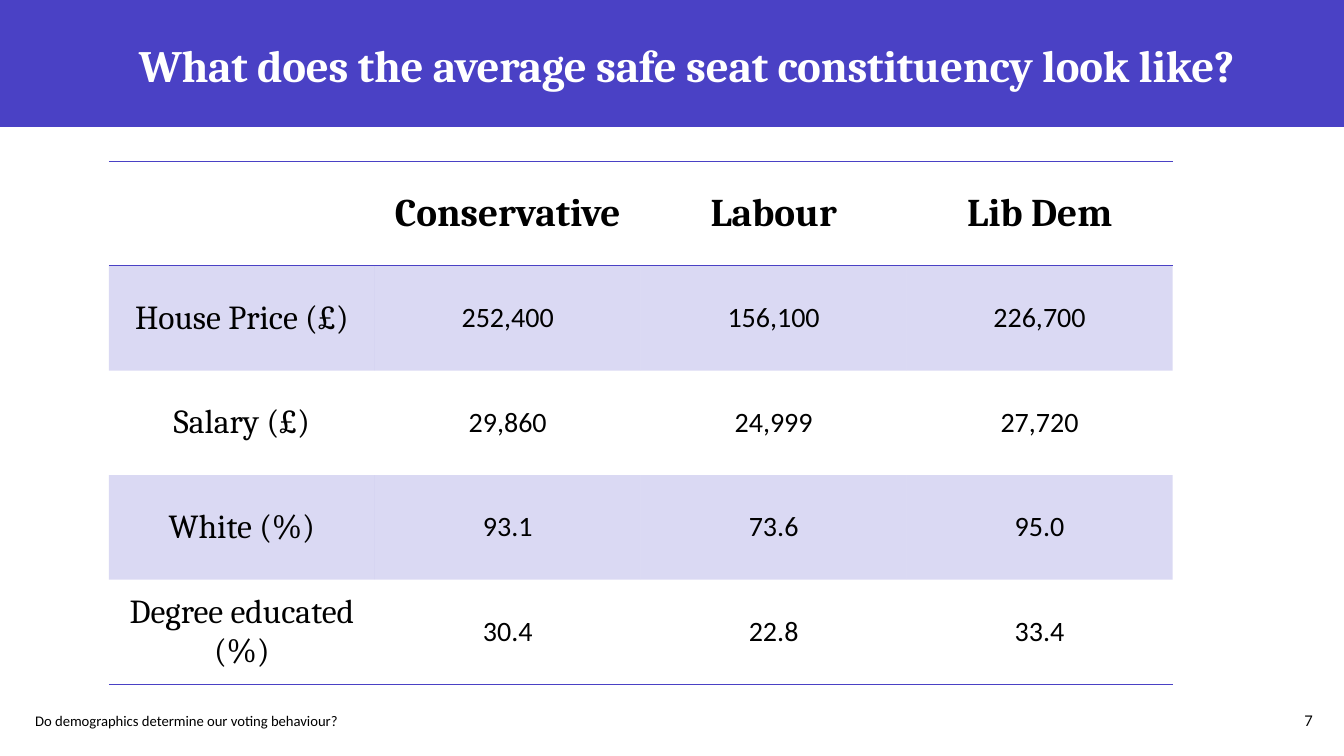
from lxml import etree
from pptx import Presentation
from pptx.dml.color import RGBColor
from pptx.enum import shapes, text
from pptx.oxml.ns import qn
from pptx.util import Inches, Pt

BLUE, WHITE, BLACK = "4A41C5", "FFFFFF", "000000"
LEFT, MID, RIGHT = text.PP_ALIGN.LEFT, text.PP_ALIGN.CENTER, text.PP_ALIGN.RIGHT

ROWS = [
    ["", "Conservative", "Labour", "Lib Dem"],
    ["House Price (£)", "252,400", "156,100", "226,700"],
    ["Salary (£)", "29,860", "24,999", "27,720"],
    ["White (%)", "93.1", "73.6", "95.0"],
    ["Degree educated (%)", "30.4", "22.8", "33.4"],
]


def paint(fill, color):
    fill.solid()
    fill.fore_color.rgb = RGBColor.from_string(color)


def write(para, words, size, face, color=BLACK, bold=False, align=MID):
    para.alignment = align
    run = para.add_run()
    run.text = words
    font = run.font
    font.size, font.name, font.bold = Pt(size), face, bold
    font.color.rgb = RGBColor.from_string(color)
    return run


def label(slide, box, words, size, face, **style):
    frame = slide.shapes.add_textbox(*map(Inches, box)).text_frame
    frame.word_wrap = True
    frame.vertical_anchor = text.MSO_ANCHOR.MIDDLE
    return write(frame.paragraphs[0], words, size, face, **style)


def rule(cell, side):
    props = cell._tc.get_or_add_tcPr()
    line = etree.SubElement(props, qn("a:" + side), w=str(Pt(1)))
    fill = etree.SubElement(line, qn("a:solidFill"))
    etree.SubElement(fill, qn("a:srgbClr"), val=BLUE)


def tint(cell, share):
    paint(cell.fill, BLUE)
    color = cell._tc.tcPr.find(qn("a:solidFill")).find(qn("a:srgbClr"))
    etree.SubElement(color, qn("a:alpha"), val=str(share * 1000))


# Title band across the top
def header(slide, box):
    x, y, w, h = box
    band = slide.shapes.add_shape(shapes.MSO_SHAPE.RECTANGLE, *map(Inches, box))
    band.shadow.inherit = False
    paint(band.fill, BLUE)
    band.line.fill.background()
    run = label(slide, (x + 0.53, y + 0.2, w - 1.52, h - 0.38),
                "What does the average safe seat constituency look like?",
                32, "Cambria", color=WHITE, bold=True, align=RIGHT)
    run.font._element.set("spc", "-20")


# Table of averages by party
def grid(slide, box):
    count = len(ROWS)
    table = slide.shapes.add_table(count, len(ROWS[0]), *map(Inches, box)).table
    table.first_row = table.horz_banding = False
    style = table._tbl.tblPr.find(qn("a:tableStyleId"))
    style.text = "{2D5ABB26-0587-4C30-8999-92F81FD0307C}"
    for i, row in enumerate(ROWS):
        for j, words in enumerate(row):
            cell = table.cell(i, j)
            cell.vertical_anchor = text.MSO_ANCHOR.MIDDLE
            if i == 0:
                rule(cell, "lnT")
            if i in (0, count - 1):
                rule(cell, "lnB")
            if i % 2:
                tint(cell, 20)
            else:
                cell.fill.background()
            if i == 0:
                size, face = 28, "Cambria"
            elif j == 0:
                size, face = 24, "Cambria"
            else:
                size, face = 20, "Calibri"
            if words:
                write(cell.text_frame.paragraphs[0], words, size, face, bold=i == 0)


# Footer line and page number
def footer(slide, box):
    x, y, w, h = box
    label(slide, (x, y, 5.29, h), "Do demographics determine our voting behaviour?",
          10.5, "Calibri", align=LEFT)
    label(slide, (x + w - 0.69, y, 0.69, h), "7", 10.5, "Lato", align=RIGHT)


def main():
    deck = Presentation()
    deck.slide_width, deck.slide_height = Inches(13.33), Inches(7.5)
    slide = deck.slides.add_slide(deck.slide_layouts[6])
    header(slide, (0, 0, 13.33, 1.26))
    grid(slide, (1.08, 1.6, 10.55, 5.19))
    footer(slide, (0.25, 6.95, 12.87, 0.4))
    deck.save("out.pptx")


if __name__ == "__main__":
    main()
